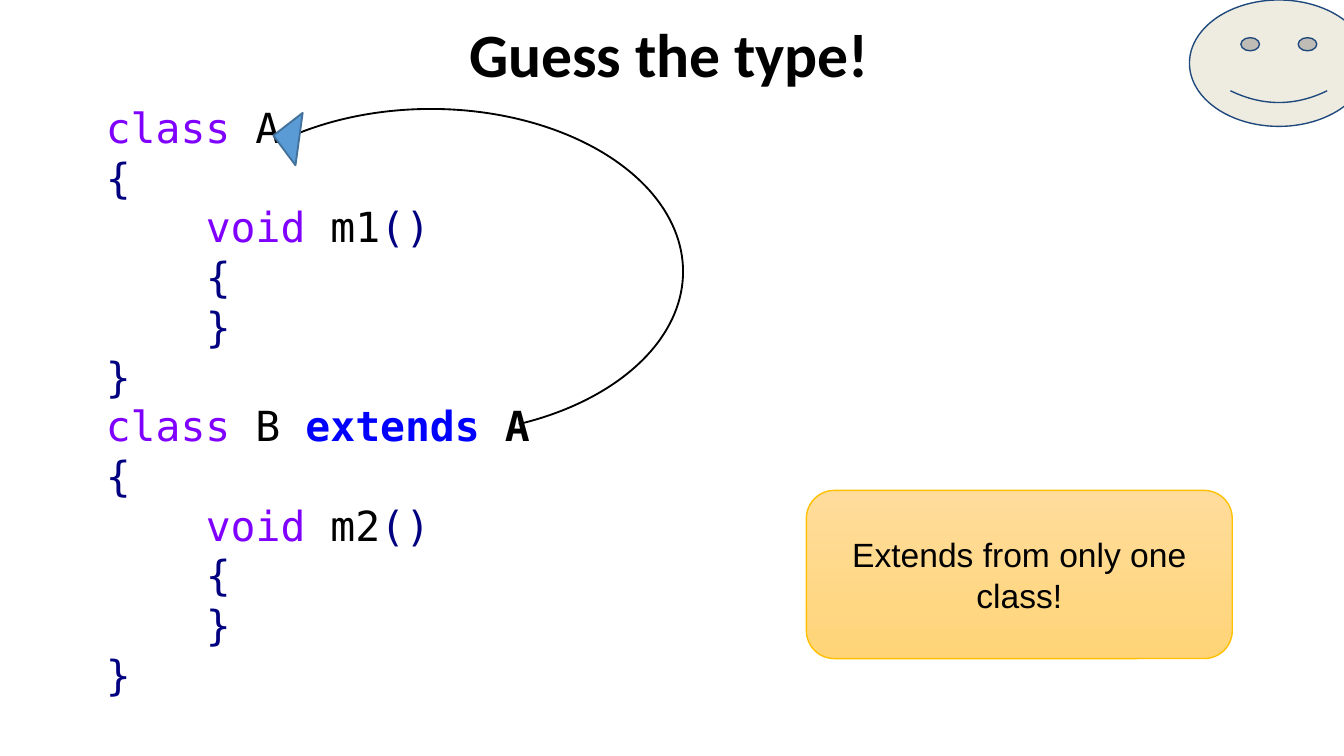
import dataclasses

import pptx
import pptx.dml.color
import pptx.enum.shapes
import pptx.enum.text
import pptx.util

Cm = pptx.util.Cm
Pt = pptx.util.Pt
Kind = pptx.enum.shapes.MSO_SHAPE
Align = pptx.enum.text.PP_ALIGN
Anchor = pptx.enum.text.MSO_ANCHOR


@dataclasses.dataclass(frozen=True)
class Theme:
    """Colours, fonts and type sizes of the slide."""
    ink: str = "000000"
    type: str = "8000FF"
    mark: str = "000080"
    key: str = "0000FF"
    head: str = "5B9BD5"
    rim: str = "42719B"
    light: str = "FFDC9B"
    deep: str = "FFD478"
    gold: str = "FFC000"
    skin: str = "EEECE1"
    navy: str = "1F497D"
    title_font: str = "Calibri"
    code_font: str = "DejaVu Sans Mono"
    note_font: str = "Arial"
    title_size: float = 33
    code_size: float = 22.2
    note_size: float = 18


THEME = Theme()


def method(name):
    """Return the code lines of an empty method, each with its depth."""
    return [
        (1, [("void", THEME.type, False), (f" {name}", THEME.ink, False),
             ("()", THEME.mark, False)]),
        (1, [("{", THEME.mark, False)]),
        (1, [("}", THEME.mark, False)]),
    ]


def klass(name, base, member):
    """Return the code lines of a class with one method."""
    first = [("class", THEME.type, False)]
    if base:
        first += [(f" {name} ", THEME.ink, False),
                  ("extends", THEME.key, True), (f" {base}", THEME.ink, True)]
    else:
        first += [(f" {name}", THEME.ink, False)]
    return [(0, first), (0, [("{", THEME.mark, False)]), *method(member),
            (0, [("}", THEME.mark, False)])]


def rgb(code):
    """Turn a hex code into a colour."""
    return pptx.dml.color.RGBColor.from_string(code)


def place(shape, box):
    """Move a shape to a box given in centimetres."""
    shape.left, shape.top, shape.width, shape.height = map(Cm, box)


def write(para, text, font, size, tint, bold=False):
    """Add one run to a paragraph."""
    run = para.add_run()
    run.text = text
    run.font.name, run.font.size, run.font.bold = font, Pt(size), bold
    run.font.color.rgb = rgb(tint)


def draw(shapes, kind, box, line, width, fill=None):
    """Add a flat preset shape."""
    shape = shapes.add_shape(kind, *map(Cm, box))
    shape.shadow.inherit = False
    shape.line.color.rgb = rgb(line)
    shape.line.width = Pt(width)
    if fill:
        shape.fill.solid()
        shape.fill.fore_color.rgb = rgb(fill)
    else:
        shape.fill.background()
    return shape


def add_title(slide, box):
    """Fill and place the title."""
    title = slide.shapes.title
    place(title, box)
    frame = title.text_frame
    frame.vertical_anchor = Anchor.MIDDLE
    para = frame.paragraphs[0]
    para.alignment = Align.CENTER
    para.line_spacing = 0.9
    write(para, "Guess the type!", THEME.title_font, THEME.title_size,
          THEME.ink, True)


def add_code(slide, box):
    """Write the listing of both classes."""
    frame = slide.shapes.add_textbox(*map(Cm, box)).text_frame
    frame.word_wrap = True
    lines = klass("A", None, "m1") + klass("B", "A", "m2")
    for row, (depth, runs) in enumerate(lines):
        para = frame.add_paragraph() if row else frame.paragraphs[0]
        para.line_spacing = 0.7
        para.space_before = Pt(8 if row else 0)
        para._p.get_or_add_pPr().set("marL", str(Cm(1.89 * depth)))
        for text, tint, bold in runs:
            write(para, text, THEME.code_font, THEME.code_size, tint, bold)


def add_link(slide, box):
    """Draw the curved arrow from the subclass to its base."""
    left, top = box[:2]
    group = slide.shapes.add_group_shape()
    arc = draw(group.shapes, Kind.ARC, box, THEME.ink, 1)
    arc.adjustments[0], arc.adjustments[1] = 135.46, 36.03
    head = draw(group.shapes, Kind.ISOSCELES_TRIANGLE,
                (left + 1.53, top + 0.29, 1, 0.49), THEME.rim, 1, THEME.head)
    head.rotation = 277.8


def add_note(slide, box):
    """Draw the rounded note."""
    note = draw(slide.shapes, Kind.ROUNDED_RECTANGLE, box, THEME.gold, 0.75)
    note.fill.gradient()
    note.fill.gradient_angle = 270
    for stop, tint, spot in zip(note.fill.gradient_stops,
                                (THEME.light, THEME.deep), (0, 1)):
        stop.color.rgb = rgb(tint)
        stop.position = spot
    frame = note.text_frame
    frame.word_wrap = True
    frame.vertical_anchor = Anchor.MIDDLE
    para = frame.paragraphs[0]
    para.alignment = Align.CENTER
    write(para, "Extends from only one class!", THEME.note_font,
          THEME.note_size, THEME.ink)


def add_face(slide, box):
    """Draw the smiling face in the corner."""
    draw(slide.shapes, Kind.SMILEY_FACE, box, THEME.navy, 0.75, THEME.skin)


def main():
    """Build and save the slide."""
    deck = pptx.Presentation()
    deck.slide_width, deck.slide_height = Cm(25.4), Cm(14.29)
    slide = deck.slides.add_slide(deck.slide_layouts[5])
    add_title(slide, (1.7, 0, 21.9, 2.16))
    add_code(slide, (1.75, 2.06, 21.9, 11.63))
    add_link(slide, (3.38, 2.06, 9.53, 6.15))
    add_note(slide, (15.24, 9.27, 8.05, 3.18))
    add_face(slide, (22.48, 0, 3.38, 2.39))
    deck.save("out.pptx")


if __name__ == "__main__":
    main()
